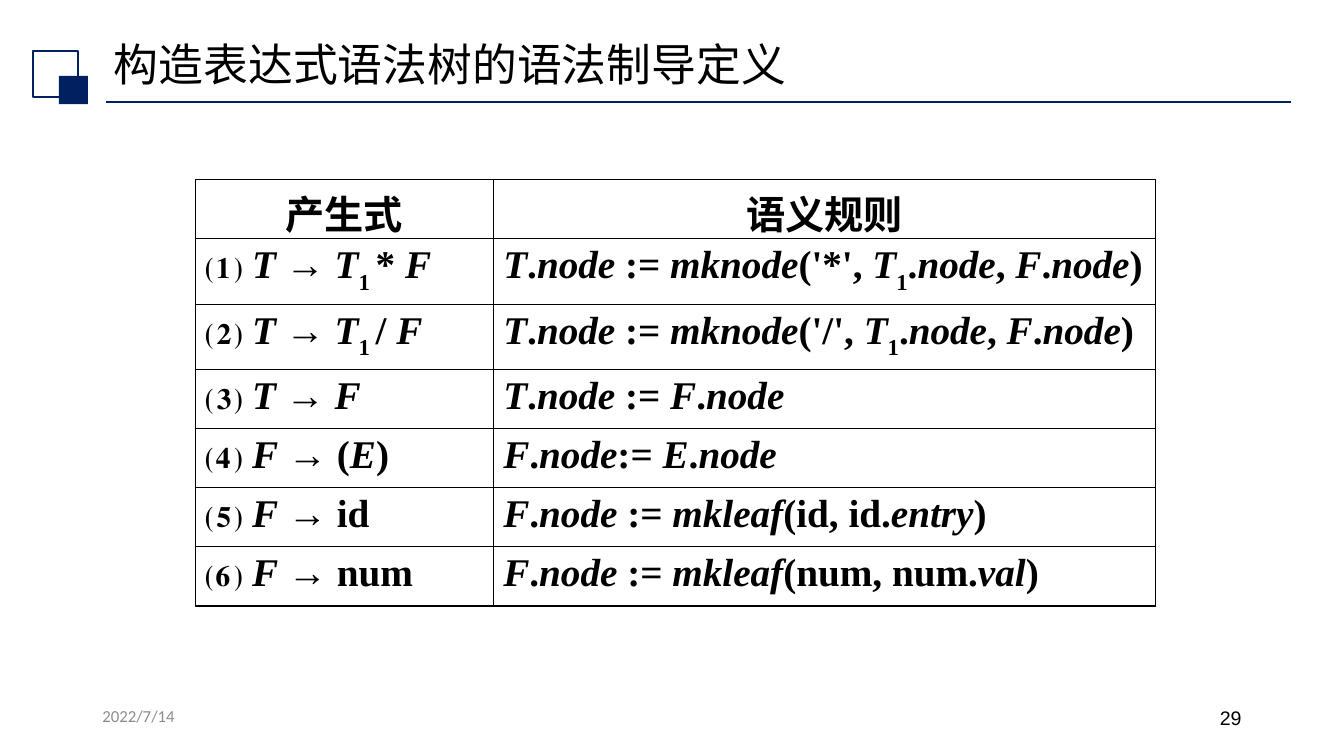
import pptx
import pptx.dml.color
import pptx.enum.shapes
import pptx.enum.text
import pptx.oxml
import pptx.oxml.ns
import pptx.util
from lxml import etree

Pt = pptx.util.Pt
RGBColor = pptx.dml.color.RGBColor
Align = pptx.enum.text.PP_ALIGN
Anchor = pptx.enum.text.MSO_ANCHOR

NAVY = RGBColor(0x00, 0x20, 0x60)
BLACK = RGBColor(0x00, 0x00, 0x00)
GREY = RGBColor(0x8C, 0x8C, 0x8C)

CJK = "Noto Sans CJK SC"
SERIF = "Times New Roman"

# ~ switches italic on and off, ^ switches subscript on and off
HEADINGS = ("产生式", "语义规则")
RULES = [
    ("⑴ ~T~ → ~T~^1 ^* ~F~", "~T~.~node~ := ~mknode~('*', ~T~^1^.~node~, ~F~.~node~)"),
    ("⑵ ~T~ → ~T~^1 ^/ ~F~", "~T~.~node~ := ~mknode~('/', ~T~^1^.~node~, ~F~.~node~)"),
    ("⑶ ~T~ → ~F~", "~T~.~node~ := ~F~.~node~"),
    ("⑷ ~F~ → (~E~)", "~F~.~node~:= ~E~.~node~"),
    ("⑸ ~F~ → id", "~F~.~node~ := ~mkleaf~(id, id.~entry~)"),
    ("⑹ ~F~ → num", "~F~.~node~ := ~mkleaf~(num, num.~val~)"),
]


class SlideBuilder:
    """Holds the style and the current slide."""

    def __init__(self, presentation):
        self.slide = presentation.slides.add_slide(presentation.slide_layouts[6])
        self.table_style = {"size": Pt(28), "bold": True}

    def add_runs(self, paragraph, text, font, color, **style):
        for i, part in enumerate(text.split("~")):
            for j, piece in enumerate(part.split("^")):
                if not piece:
                    continue
                run = paragraph.add_run()
                run.text = piece
                run.font.color.rgb = color
                values = {"name": font, "italic": i % 2 == 1, **style}
                for name, value in values.items():
                    setattr(run.font, name, value)
                properties = run._r.get_or_add_rPr()
                if j % 2:
                    properties.set("baseline", "-30000")
                east_asian = etree.SubElement(properties, pptx.oxml.ns.qn("a:ea"))
                east_asian.set("typeface", font)

    def text(self, box, text, font, color, size, align=Align.LEFT,
             anchor=Anchor.TOP, spacing=1.0):
        frame = self.slide.shapes.add_textbox(*map(Pt, box)).text_frame
        frame.word_wrap = True
        frame.vertical_anchor = anchor
        paragraph = frame.paragraphs[0]
        paragraph.alignment = align
        paragraph.line_spacing = spacing
        self.add_runs(paragraph, text, font, color, size=Pt(size))

    def square(self, box, fill=None, line=None):
        shape = self.slide.shapes.add_shape(
            pptx.enum.shapes.MSO_SHAPE.RECTANGLE, *map(Pt, box))
        shape.shadow.inherit = False
        if fill is None:
            shape.fill.background()
        else:
            shape.fill.solid()
            shape.fill.fore_color.rgb = fill
        if line is None:
            shape.line.fill.background()
        else:
            shape.line.color.rgb = line
            shape.line.width = Pt(1.5)

    def rule(self, left, right, y):
        line = self.slide.shapes.add_connector(
            pptx.enum.shapes.MSO_CONNECTOR.STRAIGHT, Pt(left), Pt(y), Pt(right), Pt(y))
        line.line.color.rgb = NAVY
        line.line.width = Pt(1.25)
        etree.SubElement(line._element.spPr, pptx.oxml.ns.qn("a:effectLst"))

    def borders(self, cell, widths):
        properties = cell._tc.get_or_add_tcPr()
        for index, (side, width) in enumerate(widths.items()):
            border = pptx.oxml.parse_xml(
                f'<a:ln{side} {pptx.oxml.ns.nsdecls("a")} w="{Pt(width)}">'
                f'<a:solidFill><a:srgbClr val="{BLACK}"/></a:solidFill></a:ln{side}>')
            properties.insert(index, border)

    def table(self, left, top, column_widths, row_height, headings, rows):
        count = len(rows) + 1
        table = self.slide.shapes.add_table(
            count, len(headings), Pt(left), Pt(top),
            Pt(sum(column_widths)), Pt(row_height * count)).table
        table.first_row = table.horz_banding = False
        for column, width in zip(table.columns, column_widths):
            column.width = Pt(width)
        for row_index, texts in enumerate([headings, *rows]):
            table.rows[row_index].height = Pt(row_height)
            is_heading = row_index == 0
            for column_index, text in enumerate(texts):
                cell = table.cell(row_index, column_index)
                cell.fill.background()
                paragraph = cell.text_frame.paragraphs[0]
                paragraph.alignment = Align.CENTER if is_heading else Align.LEFT
                self.add_runs(paragraph, text, CJK if is_heading else SERIF, BLACK,
                              **self.table_style)
                outer_left = column_index == 0
                outer_right = column_index == len(headings) - 1
                self.borders(cell, {"L": 0.75 if outer_left else 1,
                                    "R": 0.75 if outer_right else 1, "T": 1, "B": 1})


def main():
    presentation = pptx.Presentation()
    presentation.slide_width = Pt(960)
    presentation.slide_height = Pt(540)
    builder = SlideBuilder(presentation)

    # Title with its rule and squares
    builder.rule(75.6, 922.4, 72.6)
    builder.square((23.6, 36.6, 32.4, 32.4), line=NAVY)
    builder.square((42, 54.2, 20.8, 20.2), fill=NAVY)
    builder.text((74.2, 24.4, 828, 44), "构造表达式语法树的语法制导定义", CJK, BLACK, 32,
                 anchor=Anchor.BOTTOM, spacing=0.9)

    # Productions and semantic rules
    builder.table(139.7, 128.2, (212.6, 473.4), 42.2, HEADINGS, RULES)

    # Footer
    builder.text((66, 500.5, 216, 28.8), "2022/7/14", "Calibri", GREY, 12)
    builder.text((678, 500.5, 216, 28.8), "29", "Arial", BLACK, 14, align=Align.RIGHT)

    presentation.save("out.pptx")


if __name__ == "__main__":
    main()
